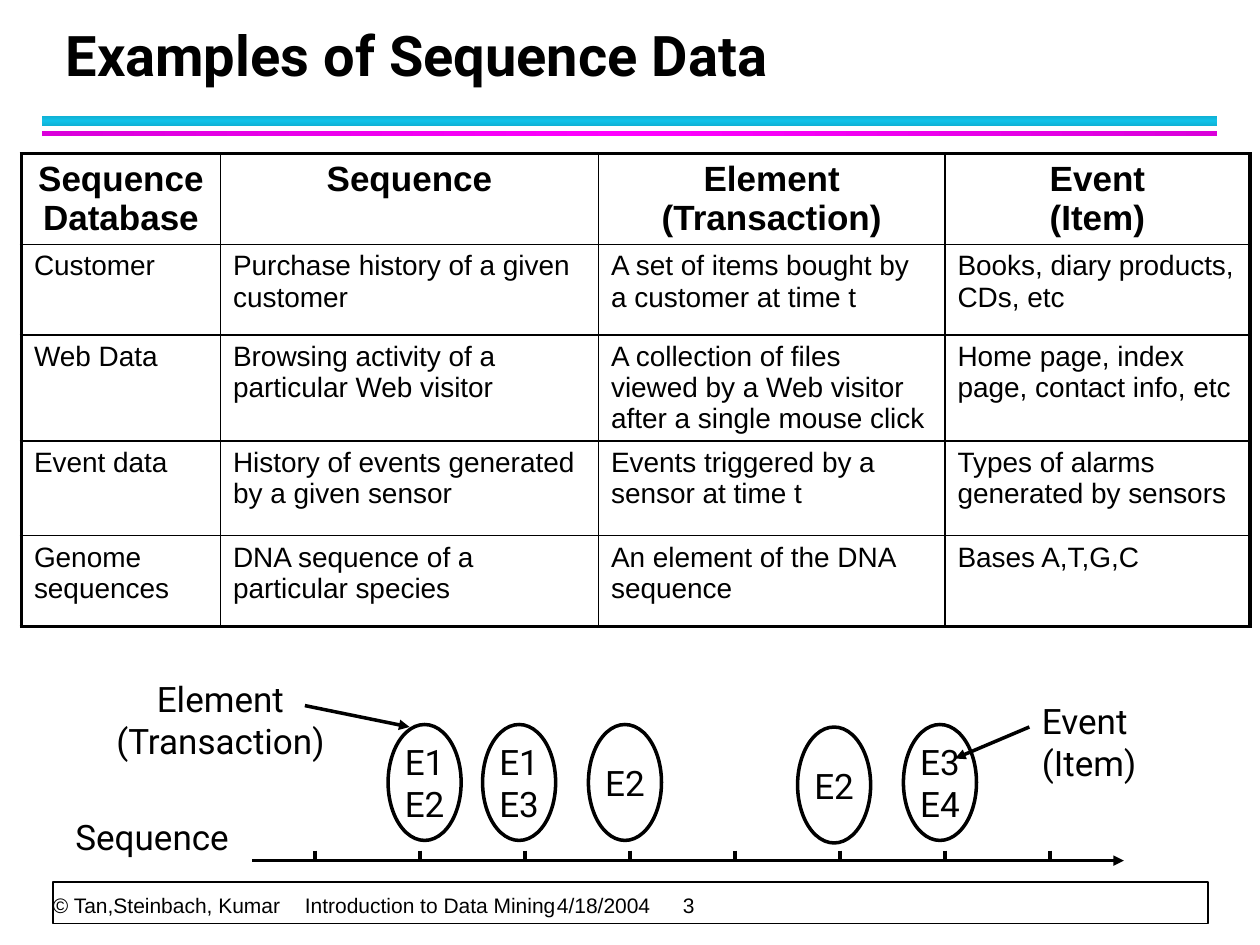
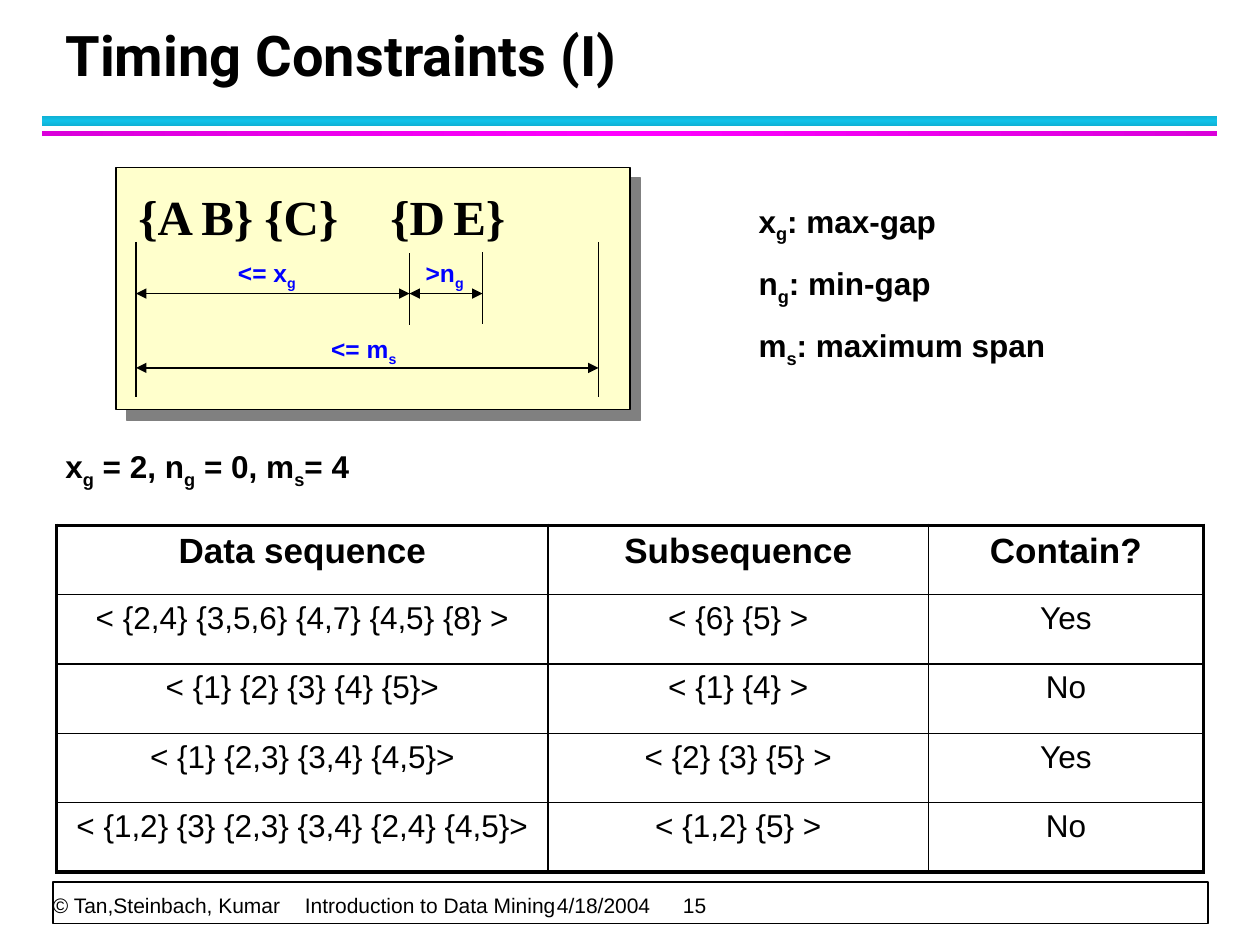
from copy import deepcopy
from dataclasses import dataclass
from typing import NamedTuple

from pptx import Presentation
from pptx.dml.color import RGBColor
from pptx.enum.shapes import MSO_CONNECTOR, MSO_SHAPE
from pptx.enum.text import MSO_ANCHOR, MSO_AUTO_SIZE, PP_ALIGN
from pptx.oxml.ns import qn
from pptx.oxml.xmlchemy import OxmlElement
from pptx.util import Inches, Pt

LEFT, CENTER = PP_ALIGN.LEFT, PP_ALIGN.CENTER
TOP, MIDDLE, BOTTOM = MSO_ANCHOR.TOP, MSO_ANCHOR.MIDDLE, MSO_ANCHOR.BOTTOM
RECTANGLE, OVAL = MSO_SHAPE.RECTANGLE, MSO_SHAPE.OVAL
STRAIGHT = MSO_CONNECTOR.STRAIGHT
NO_AUTOFIT = MSO_AUTO_SIZE.NONE

COLORS = {
    "black": "000000",
    "white": "FFFFFF",
    "blue": "0000FF",
    "cream": "FFFFCC",
    "shadow": "808080",
    "cyan edge": "10B0D3",
    "cyan middle": "12C2E9",
    "magenta edge": "DA00DA",
    "magenta middle": "FF00FF",
}
SANS, HEADING, SERIF = "Arial", "Roboto", "Times New Roman"
PADDING = (0.1, 0.05, 0.1, 0.05)
TIGHT = (0, 0, 0, 0)
LABEL_PADDING = (0.1, 0.05, 0, 0.05)


class Box(NamedTuple):
    left: float
    top: float
    width: float
    height: float

    def inches(self) -> list:
        return [Inches(value) for value in self]


@dataclass
class Band:
    box: Box
    color: str
    angle: int


@dataclass
class Event:
    left: float
    top: float
    text: str


@dataclass
class Line:
    start: tuple[float, float]
    end: tuple[float, float]
    head: bool = False
    tail: bool = False


@dataclass
class Grid:
    box: Box
    columns: list[float]
    row_heights: list[float]
    rows: list[list[str]]
    body_size: int
    body_align: int


BANDS = [
    Band(Box(0.33, 0.92, 9.33, 0.08), "cyan", 90),
    Band(Box(0.33, 1.04, 9.33, 0.04), "magenta", 0),
]


def rgb(name: str) -> RGBColor:
    return RGBColor.from_string(COLORS[name])


# ---- Text ----
def add_child(parent, tag: str, **attributes):
    child = OxmlElement(tag)
    for key, value in attributes.items():
        child.set(key, str(value))
    parent.append(child)
    return child


def add_runs(paragraph, text: str, size, font, color, bold) -> None:
    """The letter after an underscore becomes a subscript."""
    first, *rest = text.split("_")
    pieces = [(first, False)]
    for part in rest:
        pieces += [(part[0], True), (part[1:], False)]
    for piece, subscript in pieces:
        if not piece:
            continue
        run = paragraph.add_run()
        run.text = piece
        run.font.size, run.font.name, run.font.bold = Pt(size), font, bold
        run.font.color.rgb = rgb(color)
        if subscript:
            run._r.get_or_add_rPr().set("baseline", "-25000")


def write(frame, *texts: str, size=20, font=SANS, color="black", bold=False,
          align=LEFT, anchor=TOP, padding=PADDING, line_spacing=None,
          before=0, after=0, tabs=()) -> None:
    """Fill a text frame: one text per paragraph, newlines as line breaks."""
    frame.word_wrap = True
    frame.auto_size = NO_AUTOFIT
    frame.vertical_anchor = anchor
    (frame.margin_left, frame.margin_top,
     frame.margin_right, frame.margin_bottom) = map(Inches, padding)
    for index, text in enumerate(texts):
        paragraph = frame.add_paragraph() if index else frame.paragraphs[0]
        properties = paragraph._p.get_or_add_pPr()
        properties.set("marL", "0")
        properties.set("indent", "0")
        add_child(properties, "a:buNone")
        if tabs:
            tab_list = add_child(properties, "a:tabLst")
            for position in tabs:
                add_child(tab_list, "a:tab", pos=Inches(position), algn="l")
        paragraph.alignment = align
        paragraph.space_before = Pt(before if index else 0)
        paragraph.space_after = Pt(after)
        if line_spacing:
            paragraph.line_spacing = Pt(line_spacing)
        for number, line in enumerate(text.split("\n")):
            if number:
                paragraph.add_line_break()
            add_runs(paragraph, line, size, font, color, bold)


def add_text(slide, box: Box, *texts: str, **text_format) -> None:
    write(slide.shapes.add_textbox(*box.inches()).text_frame, *texts, **text_format)


# ---- Shapes and lines ----
def add_shape(slide, kind, box: Box, fill=None, line=None, width=1.0):
    shape = slide.shapes.add_shape(kind, *box.inches())
    shape.shadow.inherit = False
    if fill:
        shape.fill.solid()
        shape.fill.fore_color.rgb = rgb(fill)
    else:
        shape.fill.background()
    if line:
        shape.line.color.rgb = rgb(line)
        shape.line.width = Pt(width)
    else:
        shape.line.fill.background()
    return shape


def add_band(slide, band: Band) -> None:
    shape = add_shape(slide, RECTANGLE, band.box)
    shape.fill.gradient()
    shape.fill.gradient_angle = band.angle
    stop_list = shape._element.spPr.find(".//" + qn("a:gsLst"))
    stop_list.append(deepcopy(stop_list[0]))
    for stop, position, part in zip(shape.fill.gradient_stops, (0, 0.5, 1),
                                    ("edge", "middle", "edge")):
        stop.position = position
        stop.color.rgb = rgb(f"{band.color} {part}")


def add_line(slide, line: Line, width: float) -> None:
    points = [Inches(value) for value in (*line.start, *line.end)]
    connector = slide.shapes.add_connector(STRAIGHT, *points)
    connector.line.color.rgb = rgb("black")
    connector.line.width = Pt(width)
    outline = connector.line._get_or_add_ln()
    if line.head:
        add_child(outline, "a:headEnd", type="triangle")
    if line.tail:
        add_child(outline, "a:tailEnd", type="triangle")
    add_child(connector._element.spPr, "a:effectLst")


# ---- Tables ----
def set_border(cell, side: str, width: float) -> None:
    border = add_child(cell._tc.get_or_add_tcPr(), f"a:ln{side}", w=Pt(width))
    add_child(add_child(border, "a:solidFill"), "a:srgbClr", val=COLORS["black"])


def add_grid(slide, grid: Grid) -> None:
    last_row, last_column = len(grid.rows) - 1, len(grid.columns) - 1
    table = slide.shapes.add_table(last_row + 1, last_column + 1,
                                   *grid.box.inches()).table
    table.first_row = table.horz_banding = False
    for column, width in zip(table.columns, grid.columns):
        column.width = Inches(width)
    for r, (height, texts) in enumerate(zip(grid.row_heights, grid.rows)):
        table.rows[r].height = Inches(height)
        for c, text in enumerate(texts):
            cell = table.cell(r, c)
            outer = {"L": c == 0, "R": c == last_column,
                     "T": r == 0, "B": r == last_row}
            for side, is_outer in outer.items():
                set_border(cell, side, 2.25 if is_outer else 1)
            cell.fill.background()
            write(cell.text_frame, text, size=grid.body_size if r else 20,
                  bold=r == 0, align=grid.body_align if r else CENTER)


# ---- Shared frame of every slide ----
def add_slide(presentation, layout: int, title: str, number: int):
    slide = presentation.slides.add_slide(presentation.slide_layouts[layout])
    for band in BANDS:
        add_band(slide, band)
    add_shape(slide, RECTANGLE, Box(0.42, 7, 9.17, 0.33), "white", "black")
    footer = ["© Tan,Steinbach, Kumar", "Introduction to Data Mining",
              "4/18/2004", str(number)]
    add_text(slide, Box(0.42, 7, 9.15, 0.28), "\t".join(footer), size=12,
             anchor=BOTTOM, padding=TIGHT, line_spacing=20, tabs=(3, 7.27, 8.7))
    heading = slide.shapes.title
    place(heading, Box(0.42, 0.17, 9.06, 0.58))
    write(heading.text_frame, title, size=32, font=HEADING, bold=True,
          anchor=BOTTOM, line_spacing=36)
    return slide


def place(shape, box: Box) -> None:
    shape.left, shape.top, shape.width, shape.height = box.inches()


# ---- Slide: examples of sequence data ----
def build_examples(presentation) -> None:
    slide = add_slide(presentation, 5, "Examples of Sequence Data", 3)
    add_grid(slide, Grid(
        Box(0.17, 1.22, 9.75, 3.66), [1.58, 3, 2.75, 2.42],
        [0.72, 0.72, 0.75, 0.75, 0.72], [
            ["Sequence Database", "Sequence", "Element (Transaction)", "Event\n(Item)"],
            ["Customer", "Purchase history of a given customer",
             "A set of items bought by a customer at time t",
             "Books, diary products, CDs, etc"],
            ["Web Data", "Browsing activity of a particular Web visitor",
             "A collection of files viewed by a Web visitor after a single mouse click",
             "Home page, index page, contact info, etc"],
            ["Event data", "History of events generated by a given sensor",
             "Events triggered by a sensor at time t",
             "Types of alarms generated by sensors"],
            ["Genome sequences", "DNA sequence of a particular species",
             "An element of the DNA sequence", "Bases A,T,G,C"],
        ], 16, LEFT))

    # Time axis with its ticks
    add_line(slide, Line((2, 6.83), (8.92, 6.83), tail=True), 2)
    for tick in range(8):
        x = 2.5 + tick * 5 / 6
        add_line(slide, Line((x, 6.75), (x, 6.83)), 2)

    # Events on the axis
    for event in [Event(3.08, 5.75, "E1\nE2"), Event(3.83, 5.75, "E1\nE3"),
                  Event(4.67, 5.75, "E2"), Event(7.17, 5.75, "E3\nE4"),
                  Event(6.33, 5.77, "E2")]:
        oval = add_shape(slide, OVAL, Box(event.left, event.top, 0.58, 0.92),
                         line="black", width=2)
        write(oval.text_frame, event.text, font=HEADING, align=CENTER,
              anchor=MIDDLE, padding=TIGHT)

    # Labels and pointers
    add_text(slide, Box(0.5, 6.42, 1.67, 0.43), "Sequence", font=HEADING)
    add_text(slide, Box(0.75, 5.33, 2, 0.77), "Element\n(Transaction)",
             font=HEADING, align=CENTER)
    add_text(slide, Box(8.17, 5.5, 1.08, 0.77), "Event\n(Item)", font=HEADING)
    add_line(slide, Line((2.42, 5.6), (3.25, 5.77), tail=True), 2)
    add_line(slide, Line((8.17, 5.77), (7.58, 6.02), tail=True), 2)


# ---- Slide: timing constraints ----
def build_constraints(presentation) -> None:
    slide = add_slide(presentation, 1, "Timing Constraints (I)", 15)

    # Panel with the sequence and its gaps
    panel = add_shape(slide, RECTANGLE, Box(0.92, 1.33, 4.08, 1.92),
                      "cream", "black", 0.75)
    effects = panel._element.spPr.find(qn("a:effectLst"))
    shadow = add_child(effects, "a:outerShdw", dist=Pt(8.5), dir=45 * 60000, algn="tl")
    add_child(shadow, "a:srgbClr", val=COLORS["shadow"])
    add_text(slide, Box(1, 1.43, 3.94, 0.57), "{A\tB}\t{C}\t{D\tE}", size=28,
             font=SERIF, bold=True, padding=LABEL_PADDING, tabs=(0.71, 1.6, 2.57, 3.3))
    for left, top, label in [(2.53, 2.6, "<= m_s"), (1.79, 2, "<= x_g"),
                             (3.28, 2, ">n_g")]:
        add_text(slide, Box(left, top, 0.72, 0.33), label, size=14, color="blue",
                 bold=True, padding=LABEL_PADDING)
    for start, end, y in [(1.08, 4.75, 2.92), (1.08, 3.25, 2.33), (3.25, 3.83, 2.33)]:
        add_line(slide, Line((start, y), (end, y), head=True, tail=True), 0.75)
    for x, top, bottom in [(1.08, 1.92, 3.15), (3.25, 2.01, 2.58),
                           (3.83, 2, 2.57), (4.75, 1.92, 3.15)]:
        add_line(slide, Line((x, top), (x, bottom)), 0.75)

    # Meaning and values of the constraints
    legend = slide.placeholders[1]
    place(legend, Box(5.92, 1.55, 3.42, 1.36))
    write(legend.text_frame, "x_g: max-gap", "n_g: min-gap", "m_s: maximum span",
          size=18, bold=True, before=2, after=9)
    add_text(slide, Box(0.42, 3.5, 8.58, 0.4), "x_g = 2, n_g = 0, m_s= 4",
             size=18, bold=True)

    add_grid(slide, Grid(
        Box(0.45, 4.17, 9.1, 2.75), [3.9, 3.02, 2.18], [0.55] * 5, [
            ["Data sequence", "Subsequence", "Contain?"],
            ["< {2,4} {3,5,6} {4,7} {4,5} {8} >", "< {6} {5} >", "Yes"],
            ["< {1} {2} {3} {4} {5}>", "< {1} {4} >", "No"],
            ["< {1} {2,3} {3,4} {4,5}>", "< {2} {3} {5} >", "Yes"],
            ["< {1,2} {3} {2,3} {3,4} {2,4} {4,5}>", "< {1,2} {5} >", "No"],
        ], 18, CENTER))


def main() -> None:
    presentation = Presentation()
    presentation.slide_width, presentation.slide_height = Inches(10), Inches(7.5)
    build_examples(presentation)
    build_constraints(presentation)
    presentation.save("out.pptx")


if __name__ == "__main__":
    main()
